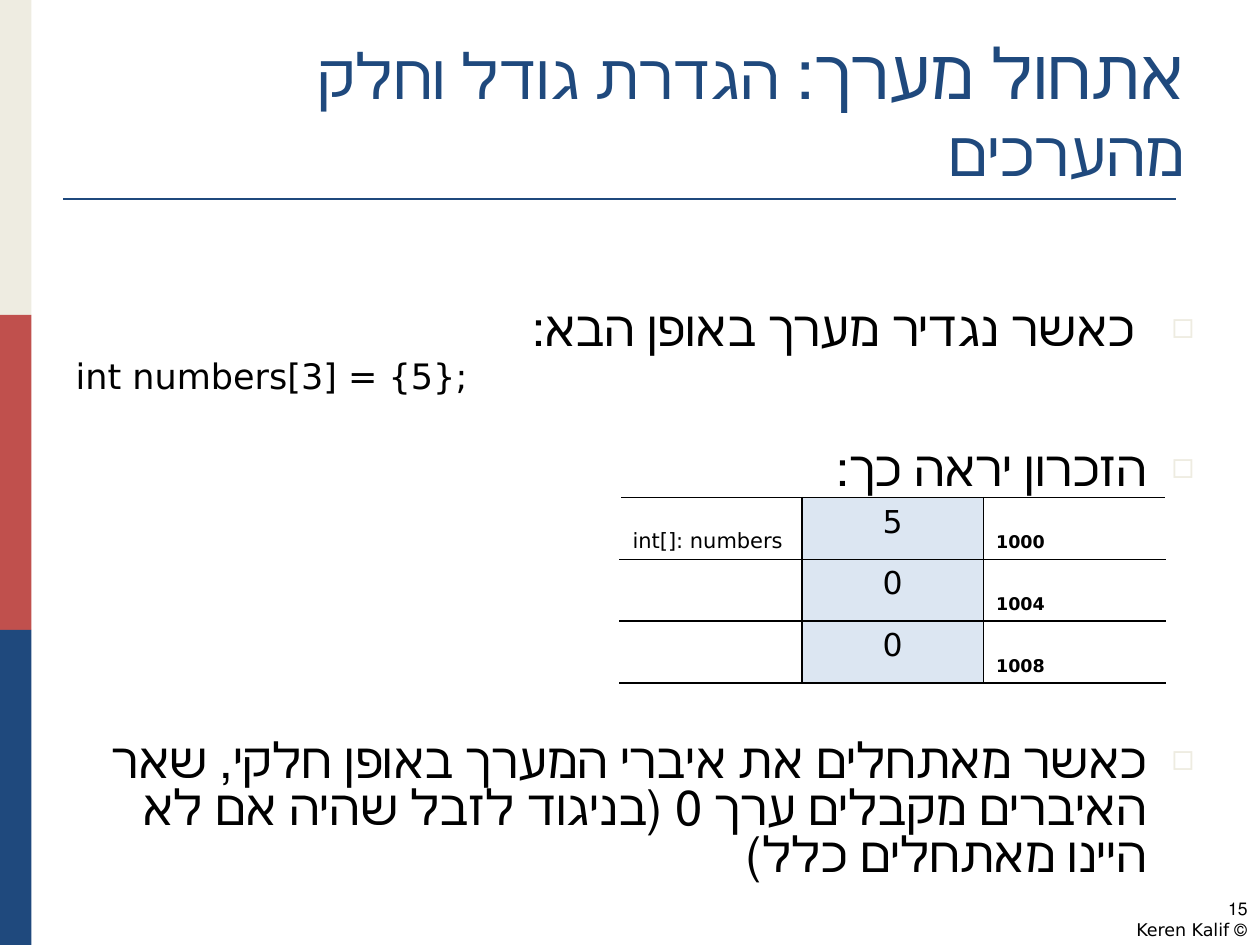
"""Build a slide on initialising an array with only some of its values."""
from lxml import etree
from pptx import Presentation
from pptx.dml.color import RGBColor
from pptx.enum.shapes import MSO_CONNECTOR, MSO_SHAPE
from pptx.enum.text import MSO_ANCHOR, MSO_AUTO_SIZE, PP_ALIGN
from pptx.oxml.ns import qn
from pptx.util import Inches, Pt

LEFT, CENTER, RIGHT = PP_ALIGN.LEFT, PP_ALIGN.CENTER, PP_ALIGN.RIGHT
TOP, BOTTOM = MSO_ANCHOR.TOP, MSO_ANCHOR.BOTTOM
NO_FIT = MSO_AUTO_SIZE.NONE
RECTANGLE, STRAIGHT = MSO_SHAPE.RECTANGLE, MSO_CONNECTOR.STRAIGHT

THEME = {
    "navy": "1F497D", "red": "C0504D", "cream": "EEECE1", "cell": "DCE6F2",
    "ink": "000000", "white": "FFFFFF",
    "heading": "Times New Roman", "text": "DejaVu Sans",
    "title": 40, "subtitle": 36, "bullet": 28, "code": 20,
    "value": 18, "label": 12, "small": 10,
}

TITLE = [("אתחול מערך: ", "title"), ("הגדרת גודל וחלק מהערכים", "subtitle")]
BODY = [
    (" כאשר נגדיר מערך באופן הבא:", "bullet", 0),
    ("int numbers[3] = {5};", "code", 4),
    ("הזכרון יראה כך:", "bullet", 30),
    ("כאשר מאתחלים את איברי המערך באופן חלקי, שאר האיברים מקבלים ערך 0 "
     "(בניגוד לזבל שהיה אם לא היינו מאתחלים כלל)", "bullet", 140),
]
MEMORY = [("int[]: numbers", "5", "1000"), ("", "0", "1004"), ("", "0", "1008")]
COLUMNS = [
    {"size": "label", "bold": False, "align": LEFT, "anchor": BOTTOM, "sides": "RTB"},
    {"size": "value", "bold": False, "align": CENTER, "anchor": TOP, "sides": "LRTB"},
    {"size": "small", "bold": True, "align": LEFT, "anchor": BOTTOM, "sides": "LTB"},
]
FOOTER = ["15", "© Keren Kalif"]
STRIPES = ["cream", "red", "navy"]


def color(name):
    return RGBColor.from_string(THEME[name])


def style(font, size, ink="ink", face="text", bold=False):
    font.size, font.name, font.bold = Pt(THEME[size]), THEME[face], bold
    font.color.rgb = color(ink)


def align_rtl(para):
    para.alignment = RIGHT
    para._p.get_or_add_pPr().set("rtl", "1")


def place(shape, left, top, width, height):
    shape.left, shape.top = Inches(left), Inches(top)
    shape.width, shape.height = Inches(width), Inches(height)


def set_bullet(para, shown):
    props = para._p.get_or_add_pPr()
    indent = Inches(0.38)
    props.set("marL", str(indent))
    props.set("indent", str(-indent))
    if not shown:
        etree.SubElement(props, qn("a:buNone"))
        return
    tint = etree.SubElement(props, qn("a:buClr"))
    etree.SubElement(tint, qn("a:srgbClr"), val=THEME["cream"])
    etree.SubElement(props, qn("a:buSzPct"), val="75000")
    etree.SubElement(props, qn("a:buChar"), char="◻")


def set_borders(cell, sides):
    props = cell._tc.get_or_add_tcPr()
    for position, side in enumerate(sides):
        line = etree.Element(qn(f"a:ln{side}"), w=str(Pt(1)))
        fill = etree.SubElement(line, qn("a:solidFill"))
        etree.SubElement(fill, qn("a:srgbClr"), val=THEME["ink"])
        props.insert(position, line)


def add_decoration(page):
    for index, name in enumerate(STRIPES):
        stripe = page.shapes.add_shape(
            RECTANGLE, 0, Inches(2.5 * index), Inches(0.25), Inches(2.5))
        stripe.shadow.inherit = False
        stripe.fill.solid()
        stripe.fill.fore_color.rgb = color(name)
        stripe.line.fill.background()
    rule = page.shapes.add_connector(
        STRAIGHT, Inches(0.5), Inches(1.58), Inches(9.33), Inches(1.58))
    rule.line.color.rgb, rule.line.width = color("navy"), Pt(1.5)
    etree.SubElement(rule._element.spPr, qn("a:effectLst"))


def fill_title(title):
    place(title, 0.5, 0.3, 9, 1.25)
    frame = title.text_frame
    frame.auto_size, frame.vertical_anchor = NO_FIT, BOTTOM
    para = frame.paragraphs[0]
    align_rtl(para)
    for text, size in TITLE:
        span = para.add_run()
        span.text = text
        style(span.font, size, "navy", "heading")


def fill_body(body):
    place(body, 0.5, 2.4, 9.08, 4.68)
    frame = body.text_frame
    frame.text = "\n".join(text for text, _, _ in BODY)
    frame.auto_size, frame.vertical_anchor = NO_FIT, TOP
    for para, (_, size, gap) in zip(frame.paragraphs, BODY):
        para.line_spacing, para.space_before = 0.8, Pt(gap)
        is_bullet = size == "bullet"
        set_bullet(para, is_bullet)
        if is_bullet:
            align_rtl(para)
        else:
            para.alignment = LEFT
        style(para.runs[0].font, size)


def add_memory(page):
    frame = page.shapes.add_table(
        len(MEMORY), len(COLUMNS), Inches(4.92), Inches(3.95), Inches(4.33), Inches(1.47))
    table = frame.table
    table.first_row = table.horz_banding = False
    for row, values in zip(table.rows, MEMORY):
        for cell, text, column in zip(row.cells, values, COLUMNS):
            cell.text, cell.vertical_anchor = text, column["anchor"]
            para = cell.text_frame.paragraphs[0]
            para.alignment = column["align"]
            style(para.font, column["size"], bold=column["bold"])
            for span in para.runs:
                style(span.font, column["size"], bold=column["bold"])
            if column["size"] == "value":
                cell.fill.solid()
                cell.fill.fore_color.rgb = color("cell")
            else:
                cell.fill.background()
            set_borders(cell, column["sides"])


def add_footer(page):
    box = page.shapes.add_textbox(Inches(7.67), Inches(7.08), Inches(2.33), Inches(0.4))
    box.text_frame.word_wrap = True
    box.text_frame.text = "\n".join(FOOTER)
    for para in box.text_frame.paragraphs:
        align_rtl(para)
        style(para.runs[0].font, "small")


def main():
    deck = Presentation()
    deck.slide_width, deck.slide_height = Inches(10), Inches(7.5)
    page = deck.slides.add_slide(deck.slide_layouts[1])
    page.background.fill.solid()
    page.background.fill.fore_color.rgb = color("white")
    add_decoration(page)
    fill_title(page.shapes.title)
    fill_body(page.placeholders[1])
    add_memory(page)
    add_footer(page)
    deck.save("out.pptx")


if __name__ == "__main__":
    main()
